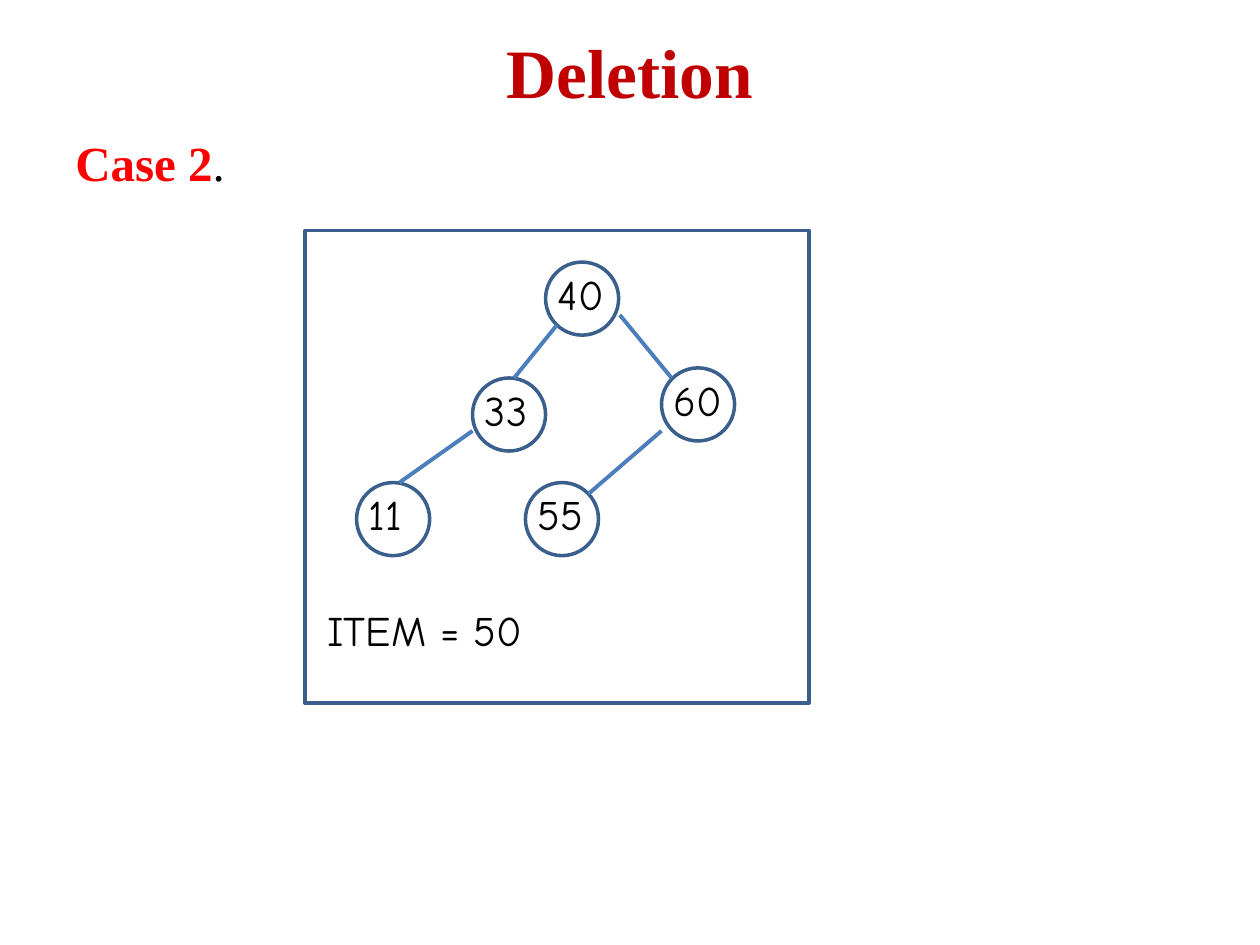
from dataclasses import dataclass
from pptx import Presentation
from pptx.dml.color import RGBColor
from pptx.enum.shapes import MSO_CONNECTOR, MSO_SHAPE
from pptx.enum.text import MSO_ANCHOR, PP_ALIGN
from pptx.oxml.ns import qn
from pptx.util import Inches, Pt
from lxml.etree import SubElement


@dataclass(frozen=True)
class Theme:
    """Colours, fonts and sizes of the slide."""
    title: str = "C00000"
    case: str = "FF0000"
    ink: str = "000000"
    frame: str = "3A5F8C"
    edge: str = "4B7EBC"
    serif: str = "Times New Roman"
    hand: str = "Comic Neue"
    big: float = 39.6
    mid: float = 28
    small: float = 24
    rim: float = 2
    link: float = 2.25


LOOK = Theme()
NODE = 0.58
NODES = {"40": (1.91, 0.25), "60": (2.83, 1.09), "55": (1.75, 2),
         "33": (1.33, 1.17), "11": (0.41, 2)}
EDGES = [((2, 0.75), (1.66, 1.17)), ((1.33, 1.59), (0.75, 2)),
         ((2.5, 0.67), (2.91, 1.17)), ((2.83, 1.59), (2.25, 2.09))]


def place(shape, box):
    """Move a shape to a box given in inches."""
    shape.left, shape.top, shape.width, shape.height = map(Inches, box)


def write(para, text, size=LOOK.small, font=LOOK.hand, color=LOOK.ink, bold=False):
    """Add a formatted run to a paragraph."""
    run = para.add_run()
    run.text = text
    run.font.size, run.font.name, run.font.bold = Pt(size), font, bold
    run.font.color.rgb = RGBColor.from_string(color)


def label(slide, box):
    """Add a wrapping text box and return its first paragraph."""
    frame = slide.shapes.add_textbox(*map(Inches, box)).text_frame
    frame.word_wrap = True
    return frame.paragraphs[0]


def outline(slide, kind, box):
    """Draw an unfilled preset shape."""
    shape = slide.shapes.add_shape(kind, *map(Inches, box))
    shape.shadow.inherit = False
    shape.fill.background()
    shape.line.color.rgb = RGBColor.from_string(LOOK.frame)
    shape.line.width = Pt(LOOK.rim)


def link(slide, start, end):
    """Draw a plain tree edge."""
    line = slide.shapes.add_connector(
        MSO_CONNECTOR.STRAIGHT, *map(Inches, (*start, *end)))
    line.line.color.rgb = RGBColor.from_string(LOOK.edge)
    line.line.width = Pt(LOOK.link)
    SubElement(line._element.spPr, qn("a:effectLst"))


def head(slide, box):
    """Fill the title placeholder."""
    title = slide.shapes.title
    place(title, box)
    title.text_frame.vertical_anchor = MSO_ANCHOR.MIDDLE
    para = title.text_frame.paragraphs[0]
    para.alignment = PP_ALIGN.CENTER
    write(para, "Deletion", size=LOOK.big, font=LOOK.serif,
          color=LOOK.title, bold=True)


def case(slide, box):
    """Name the case below the title."""
    para = label(slide, box)
    para.space_before = Pt(0.2 * LOOK.mid)
    write(para, "Case 2", size=LOOK.mid, font=LOOK.serif,
          color=LOOK.case, bold=True)
    write(para, ".", size=LOOK.mid, font=LOOK.serif)


def tree(slide, box):
    """Draw the framed search tree with its item line."""
    left, top = box[:2]
    outline(slide, MSO_SHAPE.RECTANGLE, box)
    for key, (x, y) in NODES.items():
        outline(slide, MSO_SHAPE.OVAL, (left + x, top + y, NODE, NODE))
        write(label(slide, (left + x, top + y, 0.67, 0.5)), key)
    for ends in EDGES:
        link(slide, *[(left + x, top + y) for x, y in ends])
    write(label(slide, (left + 0.08, top + 2.92, 2.25, 0.5)), "ITEM = 50")


def main():
    """Build and save the slide."""
    deck = Presentation()
    deck.slide_width, deck.slide_height = Inches(10), Inches(7.5)
    slide = deck.slides.add_slide(deck.slide_layouts[5])
    head(slide, (0.5, 0.17, 9, 0.78))
    case(slide, (0.5, 1, 9, 6))
    tree(slide, (2.42, 1.83, 4, 3.75))
    deck.save("out.pptx")


main()
